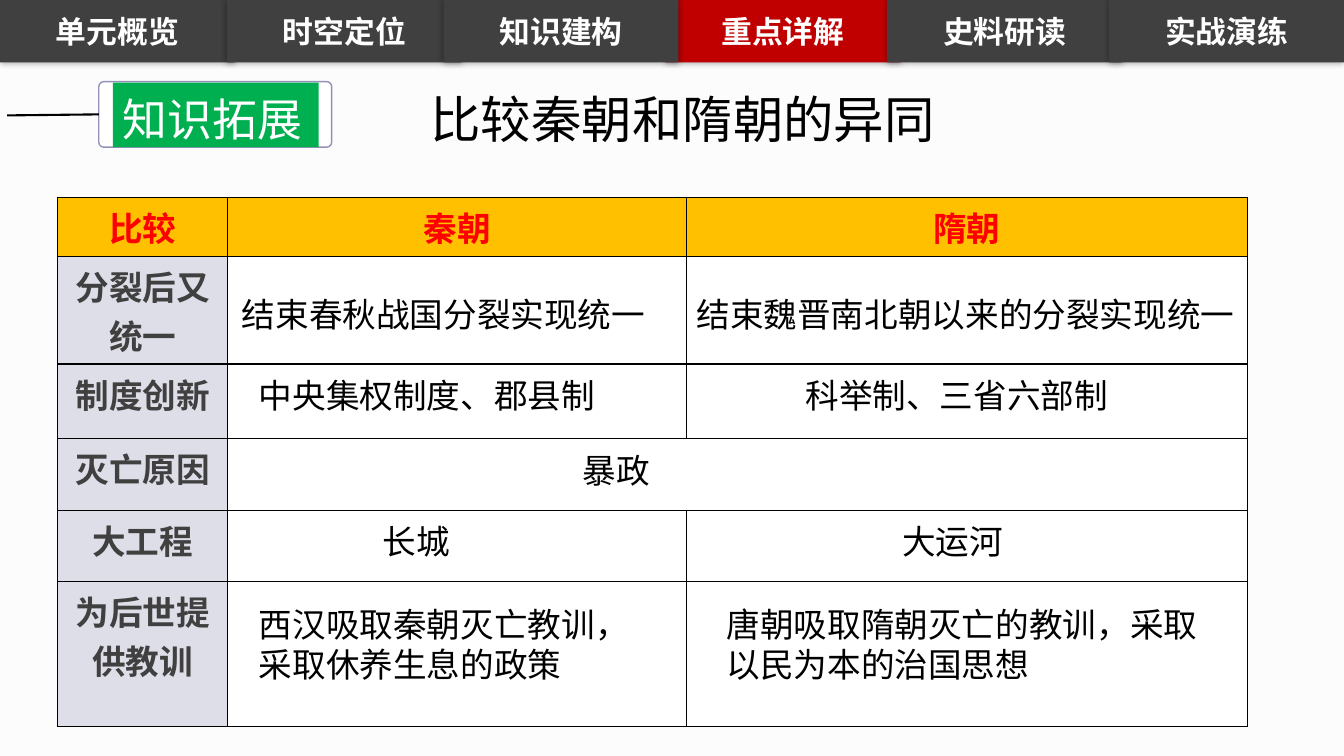
from lxml import etree
from pptx import Presentation
from pptx.dml.color import RGBColor
from pptx.enum.shapes import MSO_CONNECTOR, MSO_SHAPE
from pptx.enum.text import MSO_ANCHOR, MSO_AUTO_SIZE, PP_ALIGN
from pptx.oxml import parse_xml
from pptx.oxml.ns import nsdecls, qn
from pptx.util import Inches, Pt

CENTER, LEFT = PP_ALIGN.CENTER, PP_ALIGN.LEFT
MIDDLE, TOP = MSO_ANCHOR.MIDDLE, MSO_ANCHOR.TOP
RECTANGLE, ROUNDED = MSO_SHAPE.RECTANGLE, MSO_SHAPE.ROUNDED_RECTANGLE
STRAIGHT = MSO_CONNECTOR.STRAIGHT
NO_AUTOFIT = MSO_AUTO_SIZE.NONE

FONT = "Noto Sans CJK SC"
COLORS = {
    "page": "FCFCFD", "white": "FFFFFF", "black": "000000",
    "tab": "404040", "active": "C00000",
    "header": "FFC000", "header_text": "FF0000",
    "label": "DEDEE9", "label_text": "404040",
    "badge": "00B050", "badge_line": "9292B6",
}

ACTIVE_TAB = "重点详解"
TABS = [  # left edge, label; later tabs overlap earlier ones
    (6.6, ACTIVE_TAB), (8.8, "史料研读"), (11, "实战演练"),
    (0, "单元概览"), (2.25, "时空定位"), (4.4, "知识建构"),
]
HEADINGS = ["比较", "秦朝", "隋朝"]
LABELS = ["分裂后又统一", "制度创新", "灭亡原因", "大工程", "为后世提供教训"]
COLUMNS = [1.69, 4.55, 5.56]
ROWS = [0.55, 1, 0.74, 0.71, 0.71, 1.44]
MERGED_ROW = 3
ANSWERS = [  # top within the table, then left, width and text of each answer
    (0.87, [(1.73, 4.51, "结束春秋战国分裂实现统一"),
            (6.24, 5.71, "结束魏晋南北朝以来的分裂实现统一")]),
    (1.67, [(1.9, 4.5, "中央集权制度、郡县制"),
            (7.32, 3.28, "科举制、三省六部制")]),
    (2.41, [(5.11, 2.65, "暴政")]),
    (3.12, [(3.13, 1.17, "长城"), (8.28, 1.63, "大运河")]),
    (3.94, [(1.9, 4, "西汉吸取秦朝灭亡教训，采取休养生息的政策"),
            (6.54, 4.9, "唐朝吸取隋朝灭亡的教训，采取以民为本的治国思想")]),
]


def color(name):
    return RGBColor.from_string(COLORS[name])


def paint(target, name):
    target.fill.solid()
    target.fill.fore_color.rgb = color(name)


def write(frame, text, size, color_name, bold=False, align=LEFT):
    para = frame.paragraphs[0]
    para.alignment = align
    span = para.add_run()
    span.text = text
    span.font.size = Pt(size)
    span.font.bold = bold
    span.font.color.rgb = color(color_name)
    span.font.name = FONT
    east_asian = etree.SubElement(span.font._element, qn("a:ea"))
    east_asian.set("typeface", FONT)
    return para


def write_compact(frame, text, size, color_name):
    """Write wrapped text with lines 1.2 times the font size apart."""
    frame.word_wrap = True
    frame.vertical_anchor = TOP
    frame.margin_top = Inches(0.09)
    write(frame, text, size, color_name).line_spacing = Pt(size * 1.2)


def add_block(page, preset, box, fill):
    block = page.shapes.add_shape(preset, *map(Inches, box))
    block.shadow.inherit = False
    paint(block, fill)
    block.line.fill.background()
    return block


def add_glow_shadow(block):
    effects = block._element.spPr.find(qn("a:effectLst"))
    effects.append(parse_xml(
        f'<a:outerShdw {nsdecls("a")} blurRad="{Pt(5)}" dist="0" dir="0">'
        f'<a:srgbClr val="{COLORS["black"]}"><a:alpha val="40000"/></a:srgbClr>'
        '</a:outerShdw>'))


def add_tabs(page, width, height):
    for left, label in TABS:
        fill = "active" if label == ACTIVE_TAB else "tab"
        tab = add_block(page, RECTANGLE, (left, 0, width, height), fill)
        add_glow_shadow(tab)
        tab.text_frame.vertical_anchor = MIDDLE
        write(tab.text_frame, label, 22, "white", True, CENTER)


def add_borders(cell):
    properties = cell._tc.get_or_add_tcPr()
    for index, side in enumerate(("lnL", "lnR", "lnT", "lnB")):
        properties.insert(index, parse_xml(
            f'<a:{side} {nsdecls("a")} w="{Pt(1)}"><a:solidFill>'
            f'<a:srgbClr val="{COLORS["black"]}"/></a:solidFill></a:{side}>'))


def add_comparison(page, left, top):
    frame = page.shapes.add_table(
        len(ROWS), len(COLUMNS), Inches(left), Inches(top),
        Inches(sum(COLUMNS)), Inches(sum(ROWS)))
    table = frame.table
    table.first_row = table.horz_banding = False
    for column, width in zip(table.columns, COLUMNS):
        column.width = Inches(width)
    for row, height in zip(table.rows, ROWS):
        row.height = Inches(height)
    for cell in table.iter_cells():
        paint(cell, "white")
        add_borders(cell)
    for column, heading in enumerate(HEADINGS):
        cell = table.cell(0, column)
        paint(cell, "header")
        write(cell.text_frame, heading, 24, "header_text", True, CENTER)
    for row, label in enumerate(LABELS, start=1):
        cell = table.cell(row, 0)
        paint(cell, "label")
        write(cell.text_frame, label, 24, "label_text", True, CENTER)
    table.cell(MERGED_ROW, 1).merge(table.cell(MERGED_ROW, 2))


def add_answers(page, left, top):
    for offset, answers in ANSWERS:
        height = 0.91 if offset == ANSWERS[-1][0] else 0.5
        for indent, width, text in answers:
            box = page.shapes.add_textbox(*map(
                Inches, (left + indent, top + offset, width, height)))
            write_compact(box.text_frame, text, 24, "black")


def add_badge(page, left, top, width, height):
    outline = add_block(page, ROUNDED, (left, top, width, height), "white")
    outline.adjustments[0] = 0.075
    outline.line.color.rgb = color("badge_line")
    outline.line.width = Pt(1)
    label = add_block(page, RECTANGLE,
                      (left + 0.14, top + 0.01, width - 0.27, height - 0.01), "badge")
    write_compact(label.text_frame, "知识拓展", 32, "white")
    middle = top + height / 2
    stem = page.shapes.add_connector(STRAIGHT, *map(
        Inches, (0.07, middle + 0.01, left, middle)))
    stem.line.color.rgb = color("black")
    stem.line.width = Pt(1.5)
    etree.SubElement(stem._element.spPr, qn("a:effectLst"))


def set_title(page, left, top, width, height):
    title = page.shapes.title
    title.left, title.top, title.width, title.height = map(
        Inches, (left, top, width, height))
    title.text_frame.text = "比较秦朝和隋朝的异同"
    title.text_frame.auto_size = NO_AUTOFIT
    title.text_frame.vertical_anchor = MIDDLE
    para = title.text_frame.paragraphs[0]
    para.alignment = LEFT
    para.font.name = "Arial"
    para.font.size = Pt(36)
    para.font.color.rgb = color("black")


def main():
    deck = Presentation()
    deck.slide_width, deck.slide_height = Inches(13.33), Inches(7.5)
    page = deck.slides.add_slide(deck.slide_layouts[5])
    paint(page.background, "page")
    add_tabs(page, 2.33, 0.62)
    add_comparison(page, 0.57, 1.96)
    add_answers(page, 0.57, 1.96)
    add_badge(page, 0.98, 0.81, 2.31, 0.65)
    set_title(page, 4.17, 0.82, 7.24, 0.71)
    deck.save("out.pptx")


if __name__ == "__main__":
    main()
